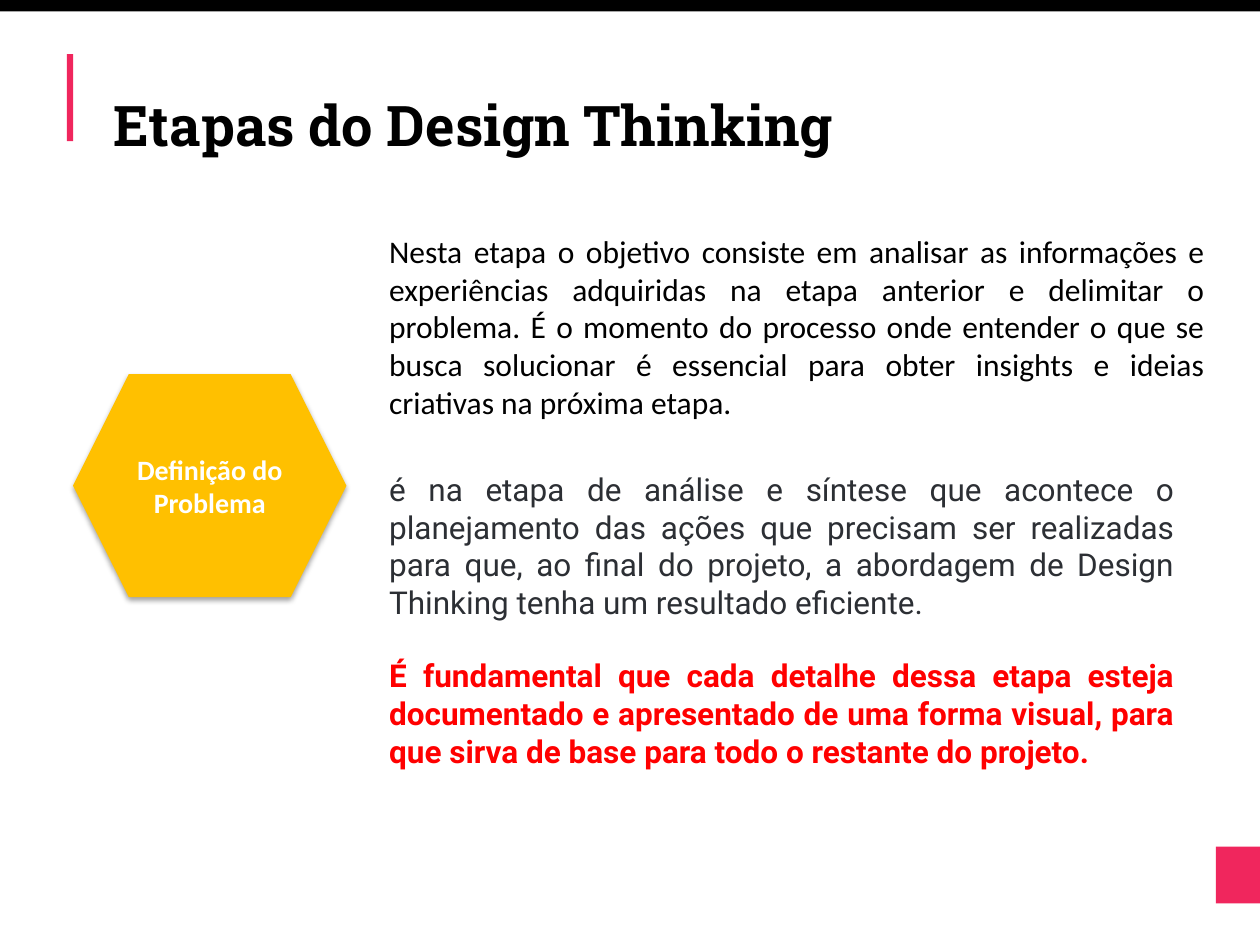
from dataclasses import dataclass

from lxml.etree import SubElement
from pptx import Presentation
from pptx.dml.color import RGBColor
from pptx.enum.shapes import MSO_SHAPE
from pptx.enum.text import MSO_ANCHOR, MSO_AUTO_SIZE, PP_ALIGN
from pptx.oxml.ns import qn
from pptx.util import Inches, Pt

BLACK = RGBColor(0x00, 0x00, 0x00)
WHITE = RGBColor(0xFF, 0xFF, 0xFF)
PINK = RGBColor(0xF0, 0x26, 0x5D)
AMBER = RGBColor(0xFF, 0xC0, 0x00)
SLATE = RGBColor(0x2C, 0x2F, 0x34)
RED = RGBColor(0xFF, 0x00, 0x00)


@dataclass
class Box:
    left: float
    top: float
    width: float
    height: float

    def emu(self) -> tuple:
        return tuple(Inches(v) for v in (self.left, self.top, self.width, self.height))


@dataclass
class Para:
    text: str
    font: str
    size: int
    color: RGBColor
    bold: bool = False
    align: PP_ALIGN = PP_ALIGN.JUSTIFY
    space: int = 0


def write(tf, paras: list[Para]) -> None:
    for i, para in enumerate(paras):
        p = tf.paragraphs[0] if i == 0 else tf.add_paragraph()
        p.text = para.text
        p.alignment = para.align
        p.space_before = p.space_after = Pt(para.space)
        p.font.name = para.font
        p.font.size = Pt(para.size)
        p.font.bold = para.bold
        p.font.color.rgb = para.color


def add_block(s, kind: MSO_SHAPE, box: Box, color: RGBColor):
    sp = s.shapes.add_shape(kind, *box.emu())
    sp.shadow.inherit = False
    sp.fill.solid()
    sp.fill.fore_color.rgb = color
    sp.line.fill.background()
    return sp


def add_text(s, box: Box, paras: list[Para], wrap: bool = True) -> None:
    tf = s.shapes.add_textbox(*box.emu()).text_frame
    tf.word_wrap = wrap
    tf.auto_size = MSO_AUTO_SIZE.SHAPE_TO_FIT_TEXT
    write(tf, paras)


def add_shadow(sp, blur: float, distance: float, opacity: int) -> None:
    """Give the shape a black shadow falling straight down."""
    effects = sp._element.spPr.find(qn("a:effectLst"))
    shadow = SubElement(effects, qn("a:outerShdw"), blurRad=str(Pt(blur)),
                        dist=str(Pt(distance)), dir="5400000", rotWithShape="0")
    color = SubElement(shadow, qn("a:srgbClr"), val=str(BLACK))
    SubElement(color, qn("a:alpha"), val=str(opacity * 1000))


def main() -> None:
    prs = Presentation()
    prs.slide_width, prs.slide_height = Inches(10), Inches(7.5)
    s = prs.slides.add_slide(prs.slide_layouts[6])

    # Page decoration: corner block, top band, title accent
    for box, color in (
        (Box(9.65, 6.72, 0.36, 0.45), PINK),
        (Box(0, 0, 10, 0.09), BLACK),
        (Box(0.53, 0.43, 0.05, 0.69), PINK),
    ):
        add_block(s, MSO_SHAPE.RECTANGLE, box, color)

    # Title
    add_text(s, Box(0.8, 0.67, 5.95, 0.64),
             [Para("Etapas do Design Thinking", "Roboto Slab", 32, BLACK, True,
                   PP_ALIGN.LEFT)], wrap=False)

    # Stage hexagon
    stage = add_block(s, MSO_SHAPE.HEXAGON, Box(0.58, 2.97, 2.17, 1.77), AMBER)
    add_shadow(stage, blur=3.1, distance=1.8, opacity=35)
    stage.text_frame.vertical_anchor = MSO_ANCHOR.MIDDLE
    write(stage.text_frame, [Para("Definição do Problema", "Calibri", 16, WHITE,
                                  True, PP_ALIGN.CENTER)])

    # Planning note and its highlighted conclusion
    add_text(s, Box(2.99, 3.68, 6.43, 2.5), [
        Para("é na etapa de análise e síntese que acontece o planejamento das "
             "ações que precisam ser realizadas para que, ao final do projeto, "
             "a abordagem de Design Thinking tenha um resultado eficiente.",
             "Roboto", 18, SLATE, space=10),
        Para("É fundamental que cada detalhe dessa etapa esteja documentado e "
             "apresentado de uma forma visual, para que sirva de base para todo "
             "o restante do projeto.",
             "Roboto", 18, RED, True, space=10),
    ])

    # Stage description
    add_text(s, Box(2.99, 1.79, 6.67, 1.62), [
        Para("Nesta etapa o objetivo consiste em analisar as informações e "
             "experiências adquiridas na etapa anterior e delimitar o problema. "
             "É o momento do processo onde entender o que se busca solucionar é "
             "essencial para obter insights e ideias criativas na próxima etapa.",
             "Calibri", 18, BLACK),
    ])

    prs.save("out.pptx")


if __name__ == "__main__":
    main()
